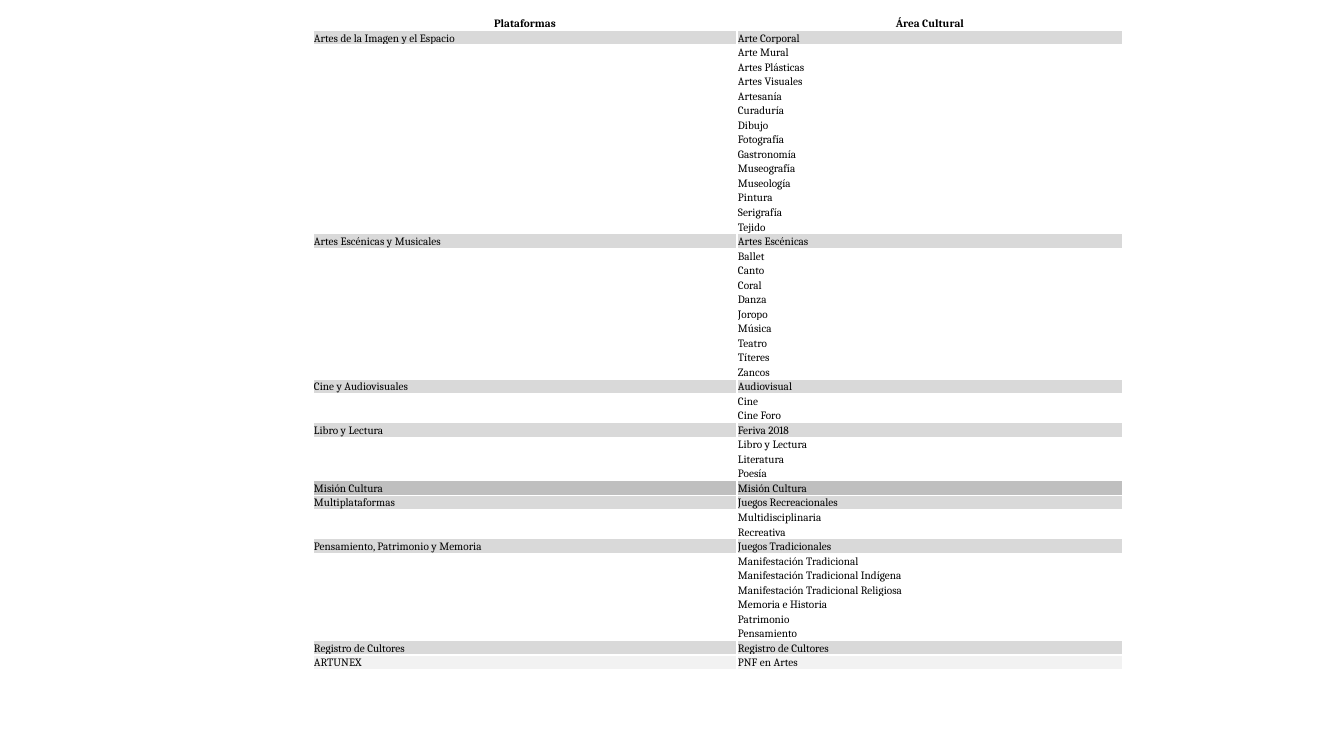
import dataclasses

import lxml.etree
import pptx
import pptx.dml.color
import pptx.enum.text
import pptx.oxml.ns
import pptx.util

EMU_PER_PIXEL = 914400 / 100.8
SLIDE_SIZE = (1344, 756)
TABLE_LEFT, TABLE_TOP, TABLE_HEIGHT = 313, 16, 654
COLUMN_WIDTHS = (424, 386)
CELL_INSET = 1
FONT_NAME = "Cambria"
FONT_SIZE = pptx.util.Pt(8)

BLACK = pptx.dml.color.RGBColor(0x00, 0x00, 0x00)
WHITE = pptx.dml.color.RGBColor(0xFF, 0xFF, 0xFF)
PALE_GREY = pptx.dml.color.RGBColor(0xF2, 0xF2, 0xF2)
LIGHT_GREY = pptx.dml.color.RGBColor(0xD9, 0xD9, 0xD9)
MID_GREY = pptx.dml.color.RGBColor(0xBF, 0xBF, 0xBF)


@dataclasses.dataclass(frozen=True)
class Platform:
    """A platform, its cultural areas, and the fill of its first row."""

    name: str
    areas: tuple[str, ...]
    fill: pptx.dml.color.RGBColor = LIGHT_GREY


@dataclasses.dataclass(frozen=True)
class Row:
    """One table row."""

    texts: tuple[str, str]
    fill: pptx.dml.color.RGBColor = WHITE
    heading: bool = False


PLATFORMS = (
    Platform("Artes de la Imagen y el Espacio", (
        "Arte Corporal", "Arte Mural", "Artes Plásticas", "Artes Visuales",
        "Artesanía", "Curaduría", "Dibujo", "Fotografía", "Gastronomía",
        "Museografía", "Museología", "Pintura", "Serigrafía", "Tejido")),
    Platform("Artes Escénicas y Musicales", (
        "Artes Escénicas", "Ballet", "Canto", "Coral", "Danza", "Joropo",
        "Música", "Teatro", "Títeres", "Zancos")),
    Platform("Cine y Audiovisuales", ("Audiovisual", "Cine", "Cine Foro")),
    Platform("Libro y Lectura", (
        "Feriva 2018", "Libro y Lectura", "Literatura", "Poesía")),
    Platform("Misión Cultura", ("Misión Cultura",), MID_GREY),
    Platform("Multiplataformas", (
        "Juegos Recreacionales", "Multidisciplinaria", "Recreativa")),
    Platform("Pensamiento, Patrimonio y Memoria", (
        "Juegos Tradicionales", "Manifestación Tradicional",
        "Manifestación Tradicional Indígena",
        "Manifestación Tradicional Religiosa", "Memoria e Historia",
        "Patrimonio", "Pensamiento")),
    Platform("Registro de Cultores", ("Registro de Cultores",)),
    Platform("ARTUNEX", ("PNF en Artes",), PALE_GREY),
)


def pixels(count: float) -> pptx.util.Emu:
    """Turn pixels into EMU."""
    return pptx.util.Emu(round(count * EMU_PER_PIXEL))


def list_rows() -> list[Row]:
    """Lay the platforms out as rows, naming each on its first row only."""
    rows = [Row(("Plataformas", "Área Cultural"), heading=True)]
    for platform in PLATFORMS:
        first, *others = platform.areas
        rows.append(Row((platform.name, first), platform.fill))
        rows.extend(Row(("", area)) for area in others)
    return rows


def add_borders(cell: pptx.table._Cell) -> None:
    """Give a cell white one-point borders on all sides."""
    properties = cell._tc.get_or_add_tcPr()
    qualify = pptx.oxml.ns.qn
    for side in ("lnL", "lnR", "lnT", "lnB"):
        line = lxml.etree.SubElement(
            properties, qualify(f"a:{side}"), w=str(pptx.util.Pt(1)))
        fill = lxml.etree.SubElement(line, qualify("a:solidFill"))
        lxml.etree.SubElement(fill, qualify("a:srgbClr"), val=str(WHITE))


def fill_cell(cell: pptx.table._Cell, text: str, row: Row) -> None:
    """Write and style one cell."""
    add_borders(cell)
    cell.fill.solid()
    cell.fill.fore_color.rgb = row.fill
    cell.margin_left = cell.margin_right = cell.margin_top = pixels(CELL_INSET)
    cell.margin_bottom = 0
    cell.vertical_anchor = pptx.enum.text.MSO_ANCHOR.BOTTOM
    para = cell.text_frame.paragraphs[0]
    para.font.name = FONT_NAME
    para.font.size = FONT_SIZE
    para.font.bold = row.heading
    para.font.color.rgb = BLACK
    if row.heading:
        para.alignment = pptx.enum.text.PP_ALIGN.CENTER
    if text:
        para.add_run().text = text
    else:
        # An empty cell needs its own size, or it stretches the row.
        lxml.etree.SubElement(para._p, pptx.oxml.ns.qn("a:endParaRPr"),
                              sz=str(round(FONT_SIZE.pt * 100)))


def add_platform_table(page: pptx.slide.Slide, rows: list[Row]) -> None:
    """Add the table of platforms and cultural areas."""
    table = page.shapes.add_table(
        len(rows), len(COLUMN_WIDTHS), pixels(TABLE_LEFT), pixels(TABLE_TOP),
        pixels(sum(COLUMN_WIDTHS)), pixels(TABLE_HEIGHT)).table
    table.first_row = table.horz_banding = False
    for column, width in zip(table.columns, COLUMN_WIDTHS):
        column.width = pixels(width)
    for table_row, row in zip(table.rows, rows):
        table_row.height = pixels(TABLE_HEIGHT / len(rows))
        for cell, text in zip(table_row.cells, row.texts):
            fill_cell(cell, text, row)


def main() -> None:
    """Build and save the deck."""
    deck = pptx.Presentation()
    deck.slide_width, deck.slide_height = map(pixels, SLIDE_SIZE)
    page = deck.slides.add_slide(deck.slide_layouts[6])
    add_platform_table(page, list_rows())
    deck.save("out.pptx")


main()
